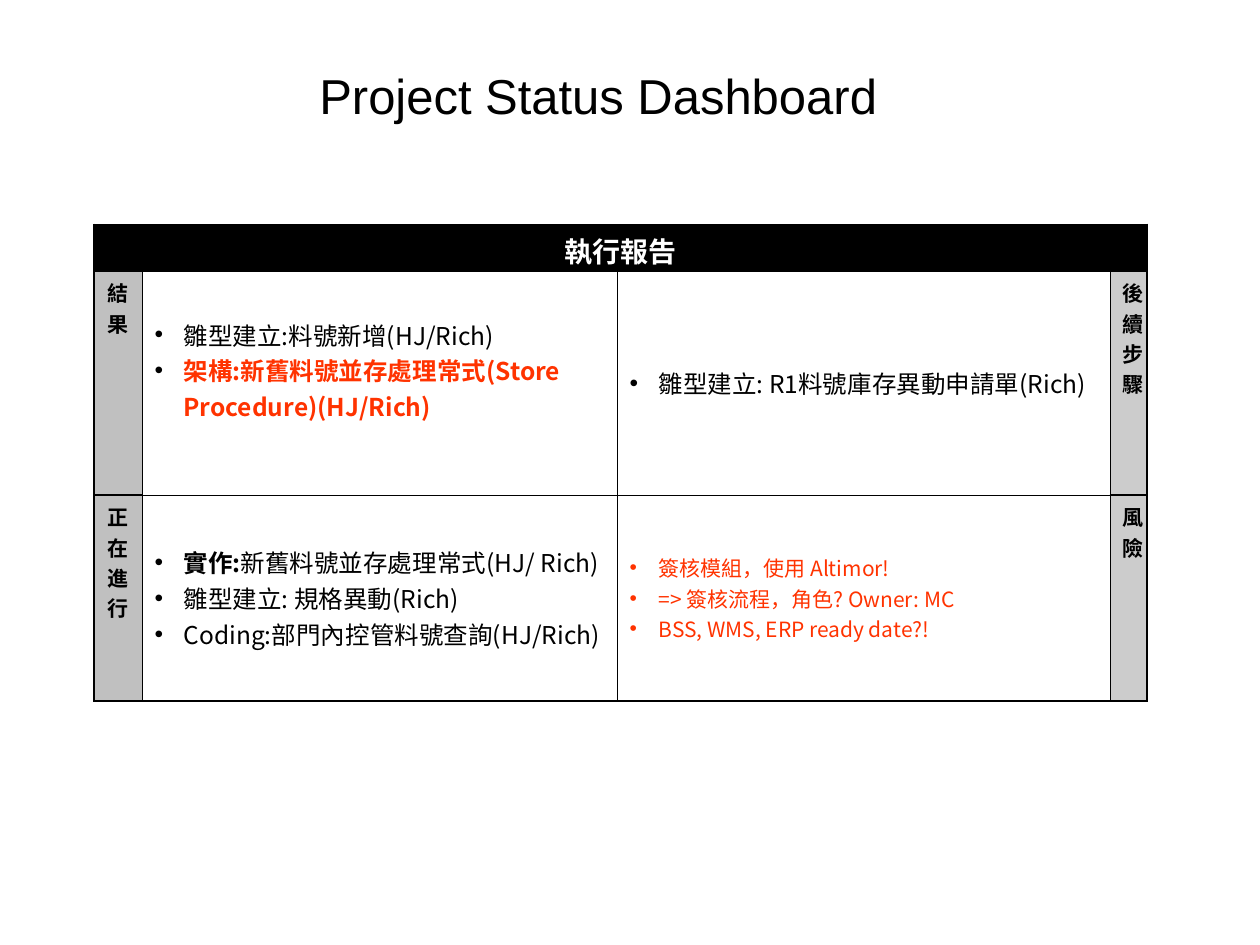
from lxml import etree
from pptx import Presentation
from pptx.dml.color import RGBColor
from pptx.enum.text import MSO_ANCHOR, PP_ALIGN
from pptx.oxml.ns import qn
from pptx.util import Emu, Pt

PX = 914400 // 126
CENTER, LEFT = PP_ALIGN.CENTER, PP_ALIGN.LEFT
TOP, MIDDLE = MSO_ANCHOR.TOP, MSO_ANCHOR.MIDDLE
LATIN, CJK = "Arial", "Noto Sans CJK TC"
COLORS = {"ink": "000000", "paper": "FFFFFF", "alert": "FF3300",
          "left_label": "C0C0C0", "right_label": "CCCCCC"}
THIN, THICK = Pt(0.45), Pt(0.96)
BULLET_INDENT = 29

HEADING = {"size": Pt(16), "bold": True}
LABEL = {"size": Pt(12), "bold": True}
BODY = {"size": Pt(14), "bold": False}
STRONG = {"size": Pt(14), "bold": True}
RISK = {"size": Pt(12), "bold": False}

COLUMNS = [48, 475, 493, 37]
ROWS = [47, 224, 206]

# Each paragraph is a list of runs: (text, format, color).
RESULTS = [
    [("雛型建立:料號新增(HJ/Rich)", BODY, "ink")],
    [("架構:新舊料號並存處理常式(Store Procedure)(HJ/Rich)", STRONG, "alert")],
]
NEXT_STEPS = [[("雛型建立: R1料號庫存異動申請單(Rich)", BODY, "ink")]]
ONGOING = [
    [("實作:", STRONG, "ink"), ("新舊料號並存處理常式(HJ/ Rich)", BODY, "ink")],
    [("雛型建立: 規格異動(Rich)", BODY, "ink")],
    [("Coding:部門內控管料號查詢(HJ/Rich)", BODY, "ink")],
]
RISKS = [[(text, RISK, "alert")] for text in (
    "簽核模組，使用 Altimor!",
    "=> 簽核流程，角色? Owner: MC",
    "BSS, WMS, ERP ready date?!",
)]
QUADRANTS = [
    ("結果", RESULTS, NEXT_STEPS, "後續步驟"),
    ("正在進行", ONGOING, RISKS, "風險"),
]


def px(value):
    return Emu(value * PX)


def rgb(name):
    return RGBColor.from_string(COLORS[name])


def add_color(parent, name):
    fill = etree.SubElement(parent, qn("a:solidFill"))
    etree.SubElement(fill, qn("a:srgbClr"), val=COLORS[name])


class Dashboard:
    """Holds the current slide and the style of its elements."""

    def __init__(self, slide):
        self.slide = slide

    def run(self, paragraph, text, style, color, font=CJK):
        run = paragraph.add_run()
        run.text = text
        for key, value in {**style, "name": font}.items():
            setattr(run.font, key, value)
        run.font.color.rgb = rgb(color)
        etree.SubElement(run.font._element, qn("a:ea"), typeface=font)

    def title(self, left, top, width, height, text):
        frame = self.slide.shapes.add_textbox(
            px(left), px(top), px(width), px(height)).text_frame
        frame.word_wrap = True
        frame.vertical_anchor = MIDDLE
        paragraph = frame.paragraphs[0]
        paragraph.alignment = CENTER
        self.run(paragraph, text, {"size": Pt(28)}, "ink", LATIN)

    def table(self, left, top, columns, rows):
        table = self.slide.shapes.add_table(
            len(rows), len(columns), px(left), px(top),
            px(sum(columns)), px(sum(rows))).table
        table.first_row = table.horz_banding = False
        for column, width in zip(table.columns, columns):
            column.width = px(width)
        for row, height in zip(table.rows, rows):
            row.height = px(height)
        return table

    def borders(self, cell, widths):
        """Draw the cell's borders; widths run left, right, top, bottom."""
        properties = cell._tc.get_or_add_tcPr()
        for side, width in zip("LRTB", widths):
            line = etree.SubElement(properties, qn(f"a:ln{side}"), w=str(int(width)))
            add_color(line, "ink")

    def bullet(self, paragraph, color):
        properties = paragraph._p.get_or_add_pPr()
        properties.set("marL", str(px(BULLET_INDENT)))
        properties.set("indent", str(-px(BULLET_INDENT)))
        shade = etree.SubElement(properties, qn("a:buClr"))
        etree.SubElement(shade, qn("a:srgbClr"), val=COLORS[color])
        etree.SubElement(properties, qn("a:buFont"), typeface=LATIN)
        etree.SubElement(properties, qn("a:buChar"), char="•")

    def label(self, cell, text, style, color, fill, align, anchor):
        cell.fill.solid()
        cell.fill.fore_color.rgb = rgb(fill)
        cell.vertical_anchor = anchor
        paragraph = cell.text_frame.paragraphs[0]
        paragraph.alignment = align
        self.run(paragraph, text, style, color)

    def bullets(self, cell, items, bullet_color):
        cell.fill.solid()
        cell.fill.fore_color.rgb = rgb("paper")
        cell.vertical_anchor = MIDDLE
        frame = cell.text_frame
        for index, runs in enumerate(items):
            paragraph = frame.add_paragraph() if index else frame.paragraphs[0]
            self.bullet(paragraph, bullet_color)
            for text, style, color in runs:
                self.run(paragraph, text, style, color)


def main():
    deck = Presentation()
    deck.slide_width, deck.slide_height = px(1260), px(945)
    board = Dashboard(deck.slides.add_slide(deck.slide_layouts[6]))
    board.title(63, 55, 1084, 80, "Project Status Dashboard ")

    report = board.table(94, 224, COLUMNS, ROWS)
    last_row, last_column = len(ROWS) - 1, len(COLUMNS) - 1
    for r in range(len(ROWS)):
        for c in range(len(COLUMNS)):
            beside = c in (0, last_column)
            board.borders(report.cell(r, c), (
                THICK if c == 0 else THIN,
                THICK if c == last_column else THIN,
                THICK if beside and r == last_row else THIN,
                THICK if r == last_row or (beside and r) else THIN,
            ))

    header = report.cell(0, 0)
    header.merge(report.cell(0, last_column))
    board.label(header, "執行報告", HEADING, "paper", "ink", CENTER, MIDDLE)

    for r, (left_label, left_items, right_items, right_label) in enumerate(QUADRANTS, 1):
        board.label(report.cell(r, 0), left_label, LABEL, "ink", "left_label", CENTER, TOP)
        board.bullets(report.cell(r, 1), left_items, "ink")
        board.bullets(report.cell(r, 2), right_items,
                      "alert" if right_items is RISKS else "ink")
        board.label(report.cell(r, 3), right_label, LABEL, "ink", "right_label", LEFT, TOP)
    report.cell(1, 1).margin_bottom = px(32)

    deck.save("out.pptx")


if __name__ == "__main__":
    main()
